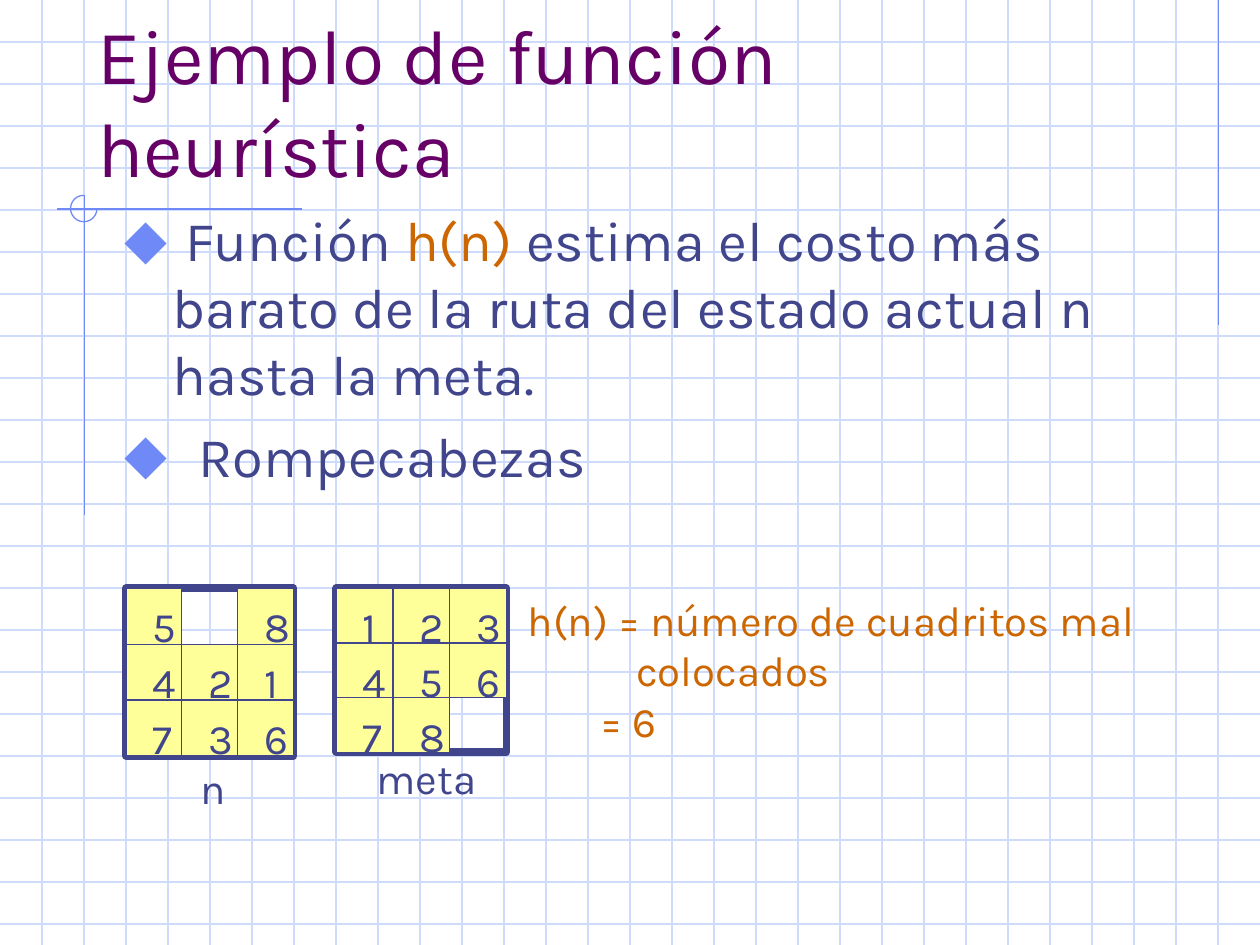
from lxml import etree
from pptx import Presentation
from pptx import util as u
from pptx.dml.color import RGBColor
from pptx.enum import shapes, text
from pptx.oxml.ns import qn

FONT = "Karla"
GRID, ACCENT, INK = "CFDBFD", "6F89F7", "40458C"
PLUM, ORANGE, YELLOW = "660066", "CC6600", "FFFF99"
TILE_INSET = 0.11, 0.05


def color(value):
    return RGBColor.from_string(value)


def set_all(target, values):
    for name, value in values.items():
        setattr(target, name, value)


def place(shape, left, top, width, height):
    set_all(shape, {"left": u.Inches(left), "top": u.Inches(top),
                    "width": u.Inches(width), "height": u.Inches(height)})


def add_line(page, start, end, stroke):
    line = page.shapes.add_connector(
        shapes.MSO_CONNECTOR.STRAIGHT, *map(u.Inches, (*start, *end)))
    line.line.color.rgb = color(stroke)
    line.line.width = u.Pt(0.75)
    etree.SubElement(line.element.spPr, qn("a:effectLst"))


def add_outline(page, kind, box, stroke, weight, fill=None):
    shape = page.shapes.add_shape(kind, *map(u.Inches, box))
    shape.shadow.inherit = False
    if fill:
        shape.fill.solid()
        shape.fill.fore_color.rgb = color(fill)
    else:
        shape.fill.background()
    shape.line.color.rgb = color(stroke)
    shape.line.width = u.Pt(weight)
    return shape


def add_span(para, words, size, fill):
    span = para.add_run()
    span.text = words
    set_all(span.font, {"size": u.Pt(size), "name": FONT})
    span.font.color.rgb = color(fill)


def set_indent(para, margin, first=0):
    props = para._p.get_or_add_pPr()
    props.set("marL", str(u.Inches(margin)))
    props.set("indent", str(u.Inches(first)))
    return props


def add_bullet(para, margin):
    props = set_indent(para, margin, -margin)
    fill = etree.SubElement(props, qn("a:buClr"))
    etree.SubElement(fill, qn("a:srgbClr"), val=ACCENT)
    etree.SubElement(props, qn("a:buSzPct"), val="110000")
    etree.SubElement(props, qn("a:buChar"), char="⬥")


def add_label(page, box, lines, fill=INK):
    """Each line is a pair of words and left indent."""
    label = page.shapes.add_textbox(*map(u.Inches, box))
    frame = label.text_frame
    set_all(frame, {"word_wrap": False,
                    "auto_size": text.MSO_AUTO_SIZE.SHAPE_TO_FIT_TEXT})
    for index, (words, indent) in enumerate(lines):
        para = frame.add_paragraph() if index else frame.paragraphs[0]
        para.alignment = text.PP_ALIGN.LEFT
        set_indent(para, indent)
        add_span(para, words, 24, fill)


def draw_background(page):
    for step in range(1, 23):
        add_line(page, (0, step / 3), (10, step / 3), GRID)
    for step in range(1, 30):
        add_line(page, (step / 3, 0), (step / 3, 7.5), GRID)
    add_line(page, (9.67, 0), (9.67, 2.58), ACCENT)
    add_line(page, (2.4, 1.66), (0.45, 1.66), ACCENT)
    add_line(page, (0.67, 1.55), (0.67, 4.09), ACCENT)
    # Three quarters of a circle where the accent lines cross
    arc = add_outline(page, shapes.MSO_SHAPE.ARC,
                      (0.56, 1.55, 0.21, 0.21), ACCENT, 0.75)
    arc.adjustments[0] = 0
    arc.adjustments[1] = 162  # 270 degrees


def fill_title(page):
    title = page.shapes.title
    page.shapes._spTree.append(title.element)  # in front of the grid
    place(title, 0.67, 0.33, 8.5, 1.25)
    set_all(title.text_frame, {"vertical_anchor": text.MSO_ANCHOR.BOTTOM,
                               "word_wrap": True,
                               "auto_size": text.MSO_AUTO_SIZE.NONE})
    para = title.text_frame.paragraphs[0]
    para.alignment = text.PP_ALIGN.LEFT
    add_span(para, "Ejemplo de función heurística", 44, PLUM)


def fill_body(page):
    body = page.placeholders[1]
    page.shapes._spTree.append(body.element)
    place(body, 0.89, 1.58, 8.7, 5.25)
    frame = body.text_frame
    set_all(frame, {"word_wrap": True, "auto_size": text.MSO_AUTO_SIZE.NONE,
                    "vertical_anchor": text.MSO_ANCHOR.TOP})
    items = [
        (0.38, [(" Función ", INK), ("h(n)", ORANGE),
                (" estima el costo más barato de la ruta del estado "
                 "actual n hasta la meta.", INK)]),
        (0.48, [(" Rompecabezas", INK)]),
    ]
    for index, (margin, spans) in enumerate(items):
        para = frame.add_paragraph() if index else frame.paragraphs[0]
        add_bullet(para, margin)
        para.space_before = u.Pt(8 if index else 0)
        for words, fill in spans:
            add_span(para, words, 32, fill)


def draw_puzzle(page, left, top, width, height, rows):
    rect = shapes.MSO_SHAPE.RECTANGLE
    add_outline(page, rect, (left, top, width, height), INK, 4.5)
    wide, high = width / 3, height / 3
    tiles = [(digit, left + column * wide, top + row * high)
             for row, digits in enumerate(rows)
             for column, digit in enumerate(digits) if digit != " "]
    for _, x, y in tiles:
        add_outline(page, rect, (x, y, wide, high), INK, 0.75, YELLOW)
    for digit, x, y in tiles:
        add_label(page, (x + TILE_INSET[0], y + TILE_INSET[1], 0.39, 0.5),
                  [(digit, 0)])


def main():
    deck = Presentation()
    set_all(deck, {"slide_width": u.Inches(10), "slide_height": u.Inches(7.5)})
    page = deck.slides.add_slide(deck.slide_layouts[1])
    draw_background(page)
    fill_title(page)
    fill_body(page)
    # Goal state and current state
    draw_puzzle(page, 2.67, 4.67, 1.35, 1.3, ["123", "456", "78 "])
    draw_puzzle(page, 1, 4.67, 1.33, 1.33, ["5 8", "421", "736"])
    add_label(page, (1.49, 6, 0.4, 0.5), [("n", 0)])
    add_label(page, (2.89, 5.92, 1, 0.5), [("meta", 0)])
    # Heuristic value
    add_label(page, (4.09, 4.67, 5.21, 1.3),
              [("h(n) = número de cuadritos mal", 0),
               ("colocados", 0.86), ("= 6", 0.58)], ORANGE)
    deck.save("out.pptx")


if __name__ == "__main__":
    main()
